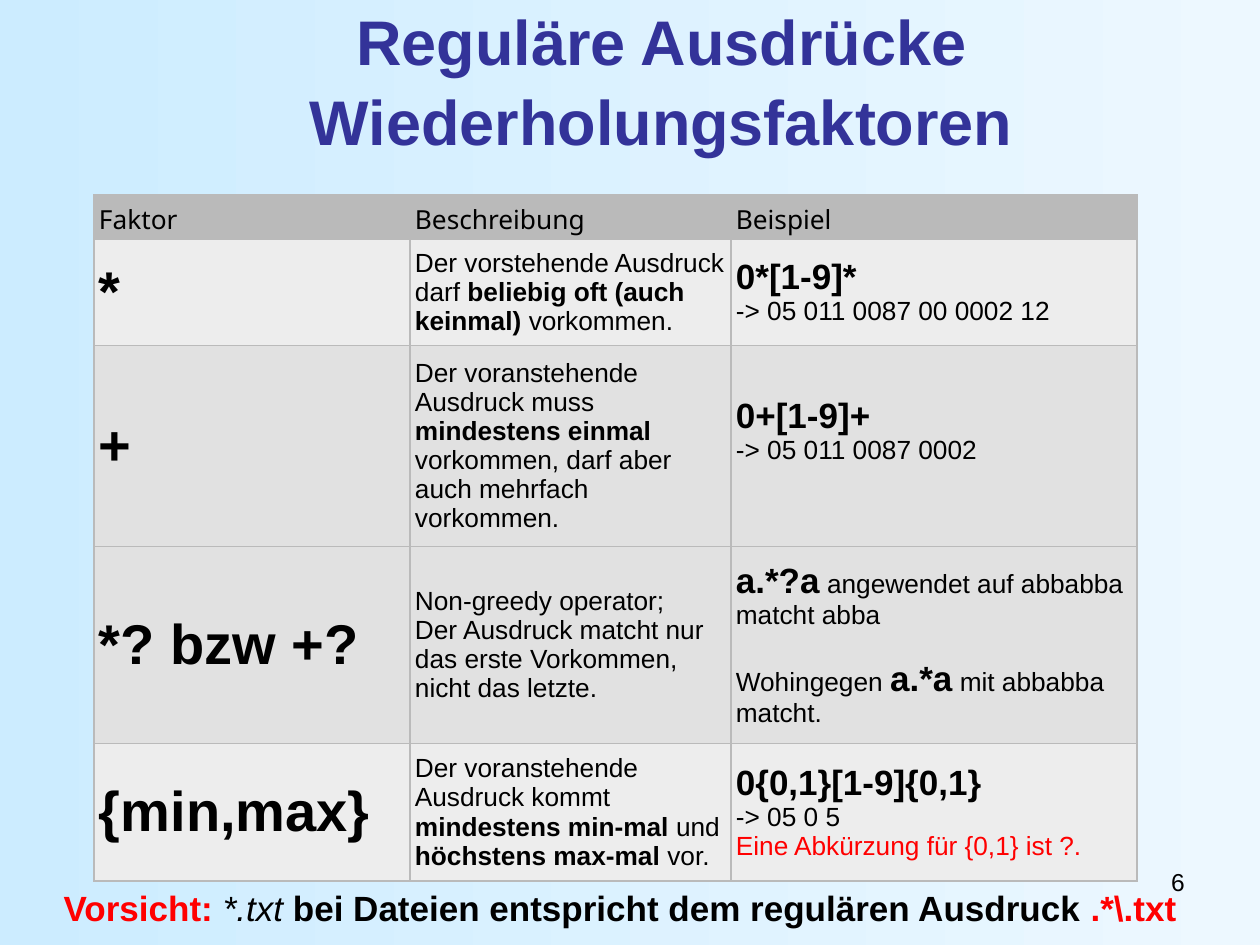
import lxml.etree
import pptx
import pptx.dml.color
import pptx.enum.text
import pptx.oxml.ns
import pptx.util

PX = 914400 // 126
COLORS = {
    "bg_left": "CCECFF", "bg_right": "EDF8FF", "title": "333399",
    "text": "000000", "warning": "FF0000", "header": "BABABA",
    "light": "EDEDED", "dark": "E1E1E1",
}
ALIGN = pptx.enum.text.PP_ALIGN
MIDDLE = pptx.enum.text.MSO_ANCHOR.MIDDLE
COLUMNS = [316, 321, 406]
ROW_HEIGHTS = [44, 102, 197, 197, 134]
LINE_GAP = 17.25  # points, one line of 15 pt text

# Run kinds: size, bold, italic, colour, font
KINDS = {
    "head": (15, False, False, "text", "Noto Sans"),
    "factor": (32, True, False, "text", "Arial"),
    "plain": (15, False, False, "text", "Arial"),
    "bold": (15, True, False, "text", "Arial"),
    "code": (20, True, False, "text", "Arial"),
    "note": (15, False, False, "warning", "Arial"),
    "alert": (20, True, False, "warning", "Arial"),
    "italic": (20, False, True, "text", "Arial"),
    "number": (14, False, False, "text", "Arial"),
    "title": (36, True, False, "title", "Arial"),
}

# Each row: fill, factor, description paragraphs, example paragraphs
ROWS = [
    ("light", "*",
     [[("plain", "Der vorstehende Ausdruck darf "),
       ("bold", "beliebig oft (auch keinmal) "), ("plain", "vorkommen.")]],
     [[("code", "0*[1-9]*"), ("plain", "\n-> 05 011 0087 00 0002 12")]]),
    ("dark", "+",
     [[("plain", "Der voranstehende Ausdruck muss "),
       ("bold", "mindestens einmal "),
       ("plain", "vorkommen, darf aber auch mehrfach vorkommen.")]],
     [[("code", "0+[1-9]+"), ("plain", "\n-> 05 011 0087 0002")]]),
    ("dark", "*? bzw +?",
     [[("plain", "Non-greedy operator;")],
      [("plain", "Der Ausdruck matcht nur das erste Vorkommen, nicht das letzte.")]],
     [[("code", "a.*?a"), ("plain", " angewendet auf abbabba")],
      [("plain", "matcht abba")],
      [("plain", "Wohingegen "), ("code", "a.*a"),
       ("plain", " mit abbabba matcht.")]]),
    ("light", "{min,max}",
     [[("plain", "Der voranstehende Ausdruck kommt "),
       ("bold", "mindestens min-mal"), ("plain", " und "),
       ("bold", "höchstens max-mal"), ("plain", " vor.")]],
     [[("code", "0{0,1}[1-9]{0,1}"), ("plain", "\n-> 05 0 5")],
      [("note", "Eine Abkürzung für {0,1} ist ?.")]]),
]


def rgb(name):
    return pptx.dml.color.RGBColor.from_string(COLORS[name])


def px(*lengths):
    return [n * PX for n in lengths]


def write(tf, paragraphs, align=ALIGN.LEFT):
    """Fill a text frame; a newline in a run becomes a line break."""
    for i, runs in enumerate(paragraphs):
        p = tf.paragraphs[0] if i == 0 else tf.add_paragraph()
        p.alignment = align
        for kind, text in runs:
            size, bold, italic, color, font = KINDS[kind]
            for j, line in enumerate(text.split("\n")):
                if j:
                    p.add_line_break()
                if not line:
                    continue
                r = p.add_run()
                r.text = line
                r.font.size = pptx.util.Pt(size)
                r.font.bold, r.font.italic = bold, italic
                r.font.name = font
                r.font.color.rgb = rgb(color)


def add_background(slide):
    fill = slide.background.fill
    fill.gradient()
    fill.gradient_angle = 0
    for stop, position, name in zip(fill.gradient_stops, (0, 1),
                                    ("bg_left", "bg_right")):
        stop.position = position
        stop.color.rgb = rgb(name)


def add_title(slide, box):
    s = slide.shapes.title
    s.left, s.top, s.width, s.height = px(*box)
    tf = s.text_frame
    tf.vertical_anchor = MIDDLE
    tf.auto_size = pptx.enum.text.MSO_AUTO_SIZE.NONE
    write(tf, [[("title", "Reguläre Ausdrücke\nWiederholungsfaktoren")]],
          ALIGN.CENTER)
    tf.paragraphs[0].line_spacing = 1.05


def add_borders(cell):
    qn = pptx.oxml.ns.qn
    tc_pr = cell._tc.get_or_add_tcPr()
    for side in ("lnL", "lnR", "lnT", "lnB"):
        ln = lxml.etree.SubElement(tc_pr, qn(f"a:{side}"),
                                   w=str(pptx.util.Pt(1.08)))
        fill = lxml.etree.SubElement(ln, qn("a:solidFill"))
        lxml.etree.SubElement(fill, qn("a:srgbClr"), val=COLORS["header"])


def format_cell(cell, fill, paragraphs):
    add_borders(cell)
    cell.fill.solid()
    cell.fill.fore_color.rgb = rgb(fill)
    cell.vertical_anchor = MIDDLE
    cell.margin_left, cell.margin_right = px(5, 5)
    cell.margin_top, cell.margin_bottom = px(6, 6)
    write(cell.text_frame, paragraphs)


def add_factor_table(slide, left, top):
    box = px(left, top, sum(COLUMNS), sum(ROW_HEIGHTS))
    table = slide.shapes.add_table(len(ROW_HEIGHTS), len(COLUMNS), *box).table
    table.horz_banding = table.first_row = False
    for column, width in zip(table.columns, px(*COLUMNS)):
        column.width = width
    for row, height in zip(table.rows, px(*ROW_HEIGHTS)):
        row.height = height
    for i, label in enumerate(("Faktor", "Beschreibung", "Beispiel")):
        format_cell(table.cell(0, i), "header", [[("head", label)]])
    for i, (fill, factor, description, example) in enumerate(ROWS, 1):
        cells = ([[("factor", factor)]], description, example)
        for j, paragraphs in enumerate(cells):
            format_cell(table.cell(i, j), fill, paragraphs)
    table.cell(2, 2).margin_bottom = 36 * PX
    gap = table.cell(3, 2).text_frame.paragraphs[1]
    gap.space_after = pptx.util.Pt(LINE_GAP)


def add_text(slide, box, runs, align, wrap=True):
    tf = slide.shapes.add_textbox(*px(*box)).text_frame
    tf.word_wrap = wrap
    write(tf, [runs], align)
    return tf


def add_footer(slide, box):
    tf = add_text(slide, box, [
        ("alert", "Vorsicht: "), ("italic", "*.txt "),
        ("code", "bei Dateien entspricht dem regulären Ausdruck "),
        ("alert", ".*\\.txt")], ALIGN.CENTER, wrap=False)
    tf.auto_size = pptx.enum.text.MSO_AUTO_SIZE.SHAPE_TO_FIT_TEXT


def main():
    prs = pptx.Presentation()
    prs.slide_width, prs.slide_height = px(1260, 945)
    slide = prs.slides.add_slide(prs.slide_layouts[5])
    add_background(slide)
    add_text(slide, (903, 861, 294, 66), [("number", "6")], ALIGN.RIGHT)
    add_title(slide, (63, 16, 1197, 125))
    add_factor_table(slide, 94, 195)
    add_footer(slide, (49, 880, 1142, 55))
    prs.save("out.pptx")


if __name__ == "__main__":
    main()
